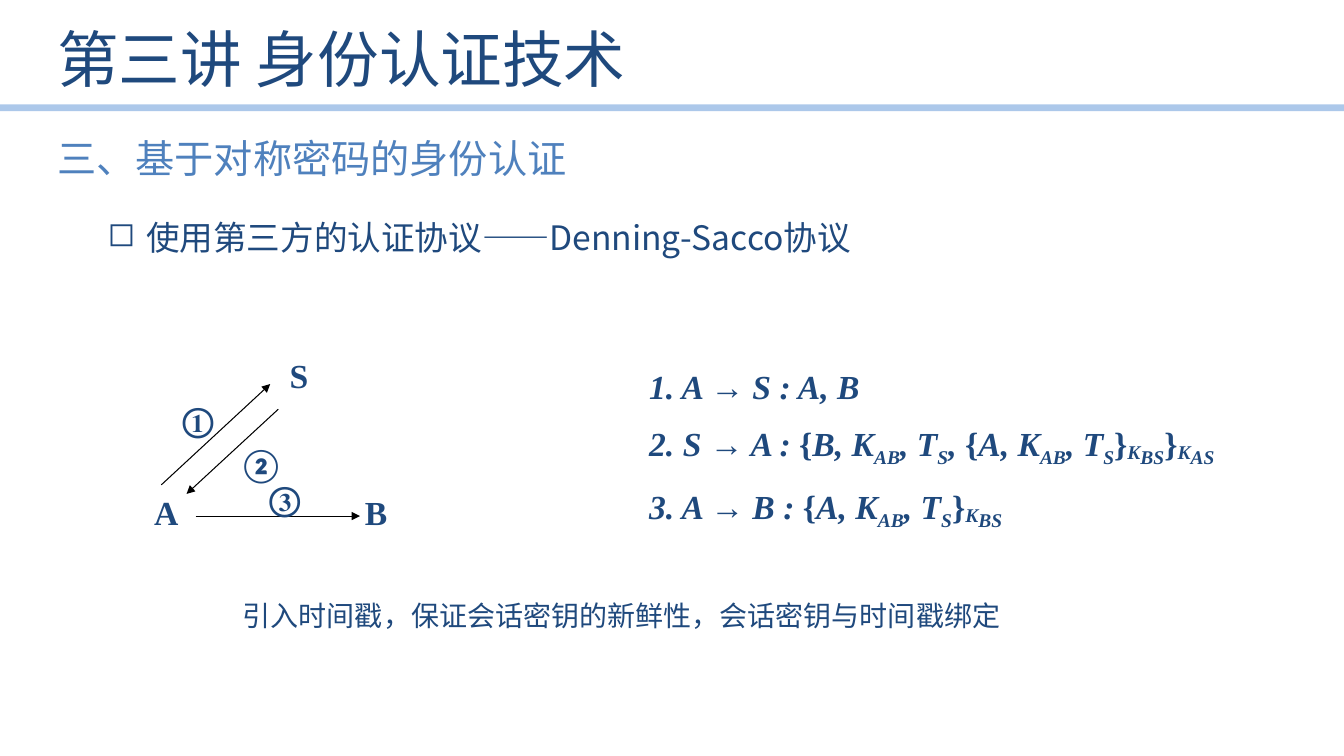
from lxml import etree
from pptx import Presentation
from pptx.dml.color import RGBColor
from pptx.enum.shapes import MSO_CONNECTOR
from pptx.enum.text import MSO_ANCHOR, PP_ALIGN
from pptx.oxml.ns import qn
from pptx.util import Inches, Pt

NAVY = RGBColor(0x1F, 0x49, 0x7D)
BLUE = RGBColor(0x4F, 0x81, 0xBD)
PALE = RGBColor(0x8E, 0xB4, 0xE3)
BLACK = RGBColor(0, 0, 0)
CJK, SERIF, SANS = "Noto Sans CJK SC", "Times New Roman", "Calibri"
LEFT, CENTER, JUSTIFY = PP_ALIGN.LEFT, PP_ALIGN.CENTER, PP_ALIGN.JUSTIFY
TOP, MIDDLE = MSO_ANCHOR.TOP, MSO_ANCHOR.MIDDLE
STRAIGHT = MSO_CONNECTOR.STRAIGHT

# Content
WIDTH, HEIGHT = 13.33, 7.5
MARGIN = 0.47
TITLE = "第三讲 身份认证技术"
SECTION = "三、基于对称密码的身份认证"
TOPIC = "使用第三方的认证协议——Denning-Sacco协议"
REMARK = "引入时间戳，保证会话密钥的新鲜性，会话密钥与时间戳绑定"
PARTY_SIZE = (0.41, 0.48)
PARTIES = [("A", 1.43, 4.84), ("B", 3.52, 4.84), ("S", 2.76, 3.48)]
STEP_SIZE = (0.54, 0.5)
STEPS = [  # label, font, label corner, arrow start, arrow end
    ("①", SERIF, (1.71, 3.91), (1.6, 4.81), (2.68, 3.81)),
    ("②", SANS, (2.27, 4.35), (2.76, 4.06), (1.85, 4.9)),
    ("③", SERIF, (2.57, 4.69), (1.94, 5.12), (3.57, 5.12)),
]
# Pieces are split by "|"; "_" marks a subscript, "~" a slightly lowered key
MESSAGES = [
    "1. A |→| S : A, B",
    "2. S |→| A : |{|B, K|_AB|, T|_S|, |{|A, K|_AB|, T|_S|}|~K|_BS|}|~K|_AS",
    "3. A |→| B : |{|A, K|_AB|, T|_S|}|~K|_BS",
]
LOWERED = {"_": "-25000", "~": "-10000"}
UPRIGHT = {"→", "{", "}"}


def style(span, font, size, color, bold=False, italic=False):
    span.font.name, span.font.size = font, Pt(size)
    span.font.bold, span.font.italic = bold, italic
    span.font.color.rgb = color
    east_asian = etree.SubElement(span.font._element, qn("a:ea"))
    east_asian.set("typeface", font)


def add_box(page, area, anchor=TOP, wrap=True):
    box = page.shapes.add_textbox(*[Inches(length) for length in area])
    frame = box.text_frame
    frame.word_wrap, frame.vertical_anchor = wrap, anchor
    return frame


def add_label(page, area, text, font, size, color=NAVY, bold=False,
              align=LEFT, anchor=TOP, wrap=True):
    frame = add_box(page, area, anchor, wrap)
    frame.text = text
    para = frame.paragraphs[0]
    para.alignment = align
    style(para.runs[0], font, size, color, bold)
    return para


def hang(para, left, hanging):
    properties = para._p.get_or_add_pPr()
    properties.set("marL", str(Inches(left)))
    properties.set("indent", str(-Inches(hanging)))
    return properties


def add_line(page, start, end, color, width):
    ends = [Inches(length) for length in (*start, *end)]
    line = page.shapes.add_connector(STRAIGHT, *ends)
    line.line.color.rgb, line.line.width = color, Pt(width)
    etree.SubElement(line._element.spPr, qn("a:effectLst"))
    return line.line._get_or_add_ln()


def add_message(para, message):
    for piece in message.split("|"):
        span = para.add_run()
        span.text = piece.lstrip("_~")
        style(span, SERIF, 24, NAVY, True, piece not in UPRIGHT)
        if piece[0] in LOWERED:
            span.font._element.set("baseline", LOWERED[piece[0]])


def main():
    deck = Presentation()
    deck.slide_width, deck.slide_height = Inches(WIDTH), Inches(HEIGHT)
    page = deck.slides.add_slide(deck.slide_layouts[6])

    # Title and its rule
    rule = add_line(page, (0, 1.07), (WIDTH, 1.07), PALE, 4.75)
    alpha = etree.SubElement(rule.find(".//" + qn("a:srgbClr")), qn("a:alpha"))
    alpha.set("val", "73000")
    add_label(page, (MARGIN, 0.09, 11.02, 0.97), TITLE, CJK, 44, anchor=MIDDLE)

    # Section heading and bulleted topic
    add_label(page, (MARGIN, 1.28, 5.31, 0.57), SECTION, CJK, 28, BLUE, wrap=False)
    topic = add_label(page, (MARGIN, 2.02, 12.28, 4.41), TOPIC, CJK, 24, align=JUSTIFY)
    topic.line_spacing = 1.2
    bullet = etree.SubElement(hang(topic, 0.88, 0.38), qn("a:buChar"))
    bullet.set("char", "◻")

    # Parties and the numbered arrows between them
    for name, left, top in PARTIES:
        add_label(page, (left, top, *PARTY_SIZE), name, SERIF, 24, bold=True,
                  align=CENTER, anchor=MIDDLE, wrap=False)
    for number, font, corner, start, end in STEPS:
        arrow = add_line(page, start, end, BLACK, 0.75)
        etree.SubElement(arrow, qn("a:tailEnd")).set("type", "triangle")
        add_label(page, (*corner, *STEP_SIZE), number, font, 24, bold=True, wrap=False)

    # Protocol messages
    frame = add_box(page, (6.34, 3.58, 6.12, 1.71))
    for index, message in enumerate(MESSAGES):
        para = frame.add_paragraph() if index else frame.paragraphs[0]
        hang(para, 0.5, 0.5)
        if index:
            para.space_before = Pt(12)
        add_message(para, message)

    # Closing remark
    add_label(page, (2.27, 5.89, 7.79, 0.44), REMARK, CJK, 20, align=CENTER)
    deck.save("out.pptx")


if __name__ == "__main__":
    main()
